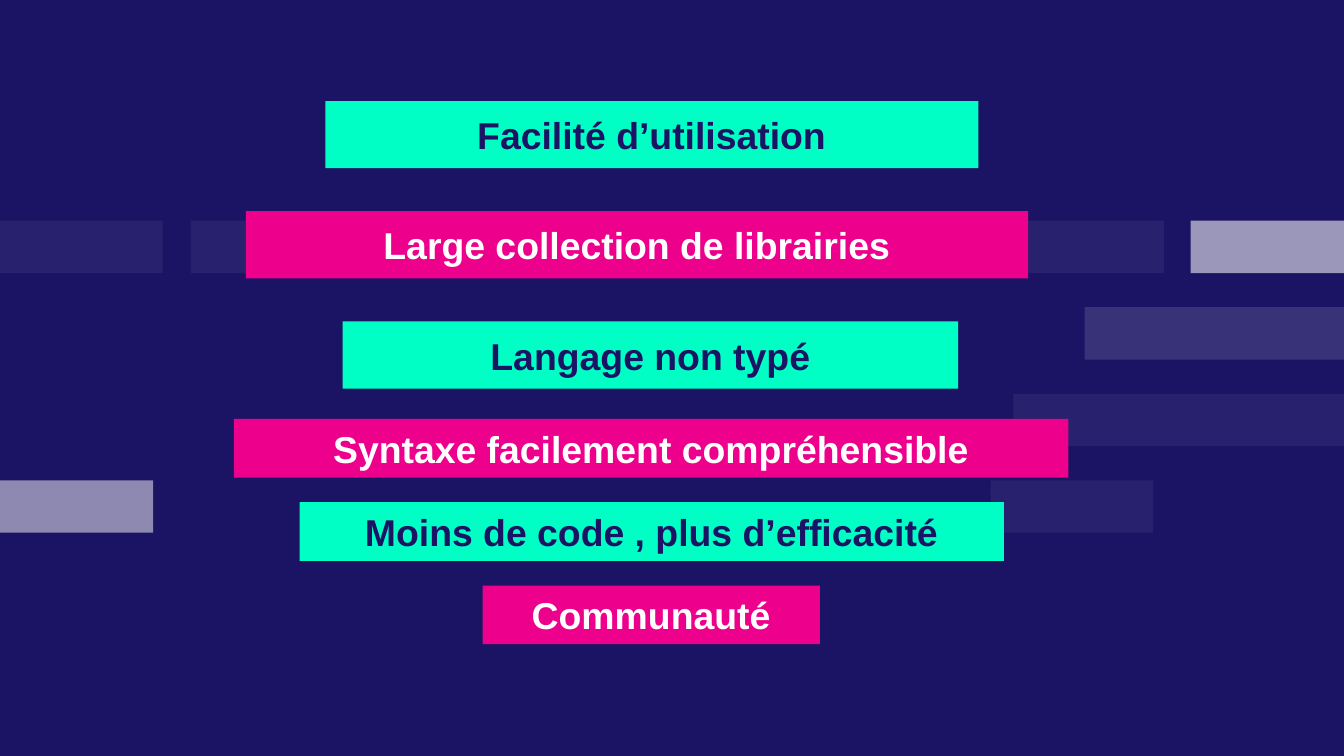
from lxml.etree import SubElement as Sub
from pptx import Presentation
from pptx.dml.color import RGBColor
from pptx.enum.shapes import MSO_SHAPE as Shape
from pptx.enum.text import MSO_ANCHOR as Anchor, MSO_AUTO_SIZE as Fit, PP_ALIGN as Align
from pptx.oxml.ns import qn
from pptx.util import Inches, Pt

COLS, ROWS = 100, 56.25
NAVY, MINT, PINK, WHITE = "1B1464", "00FFC5", "EC008C", "FFFFFF"


def paint(fill, color):
    fill.solid()
    fill.fore_color.rgb = RGBColor.from_string(color)


def write(shape, text, size=20, color=WHITE, bold=True, font="Arial",
          align=Align.CENTER, inset=0.1):
    frame = shape.text_frame
    frame.word_wrap = True
    frame.auto_size = Fit.NONE
    frame.vertical_anchor = Anchor.MIDDLE
    frame.margin_left = frame.margin_right = Inches(0.1)
    frame.margin_top = frame.margin_bottom = Inches(inset)
    par = frame.paragraphs[0]
    par.alignment = align
    run = par.add_run()
    run.text = text
    run.font.size, run.font.bold, run.font.name = Pt(size), bold, font
    paint(run.font.fill, color)


class Deck:
    def __init__(self):
        self.prs = Presentation()
        self.prs.slide_width = Inches(10)
        self.prs.slide_height = Inches(10 * 9 / 16)
        self.slide = self.prs.slides.add_slide(self.prs.slide_layouts[5])
        paint(self.slide.background.fill, NAVY)

    def area(self, col, row, wide, high):
        """Turn grid columns and rows into slide lengths."""
        x, y = self.prs.slide_width / COLS, self.prs.slide_height / ROWS
        return [round(n) for n in (col * x, row * y, wide * x, high * y)]

    def rect(self, *cells, color):
        box = self.slide.shapes.add_shape(Shape.RECTANGLE, *self.area(*cells))
        box.shadow.inherit = False
        box.line.fill.background()
        paint(box.fill, color)
        return box

    def bar(self, col, row, wide, alpha):
        """Add a see-through white strip."""
        box = self.rect(col, row, wide, 3.9, color=WHITE)
        tone = box.element.spPr.find(qn("a:solidFill"))[0]
        Sub(tone, qn("a:alpha"), val=str(alpha * 1000))

    def title(self, text, *cells, color, ink):
        box = self.slide.shapes.title
        box.left, box.top, box.width, box.height = self.area(*cells)
        paint(box.fill, color)
        write(box, text, color=ink)

    def label(self, text, *cells, color, ink):
        write(self.rect(*cells, color=color), text, color=ink, inset=0.05)


def main():
    deck = Deck()

    # Column, line, width, opacity in percent
    bars = [(80.7, 1, 19.3, 13), (74.5, 0, 12.1, 6), (75.4, 2, 24.6, 6),
            (88.6, 0, 11.4, 56), (73.7, 3, 12.1, 6), (0, 3, 11.4, 50),
            (0, 0, 12.1, 6), (14.2, 0, 5.4, 6)]
    for col, line, wide, alpha in bars:
        deck.bar(col, 16.42 + 6.44 * line, wide, alpha)

    # Text, column, width
    points = [("Facilité d’utilisation", 24.2, 48.6),
              ("Large collection de librairies", 18.3, 58.2),
              ("Langage non typé", 25.5, 45.8),
              ("Syntaxe facilement compréhensible", 17.4, 62.1),
              ("Moins de code , plus d’efficacité", 22.3, 52.4),
              ("Communauté", 35.9, 25.1)]
    for i, (text, col, wide) in enumerate(points):
        row, high = (7.52 + 8.2 * i, 5) if i < 3 else (31.17 + 6.2 * (i - 3), 4.37)
        color, ink = (PINK, WHITE) if i % 2 else (MINT, NAVY)
        add = deck.label if i else deck.title
        add(text, col, row, wide, high, color=color, ink=ink)

    deck.prs.save("out.pptx")


if __name__ == "__main__":
    main()
